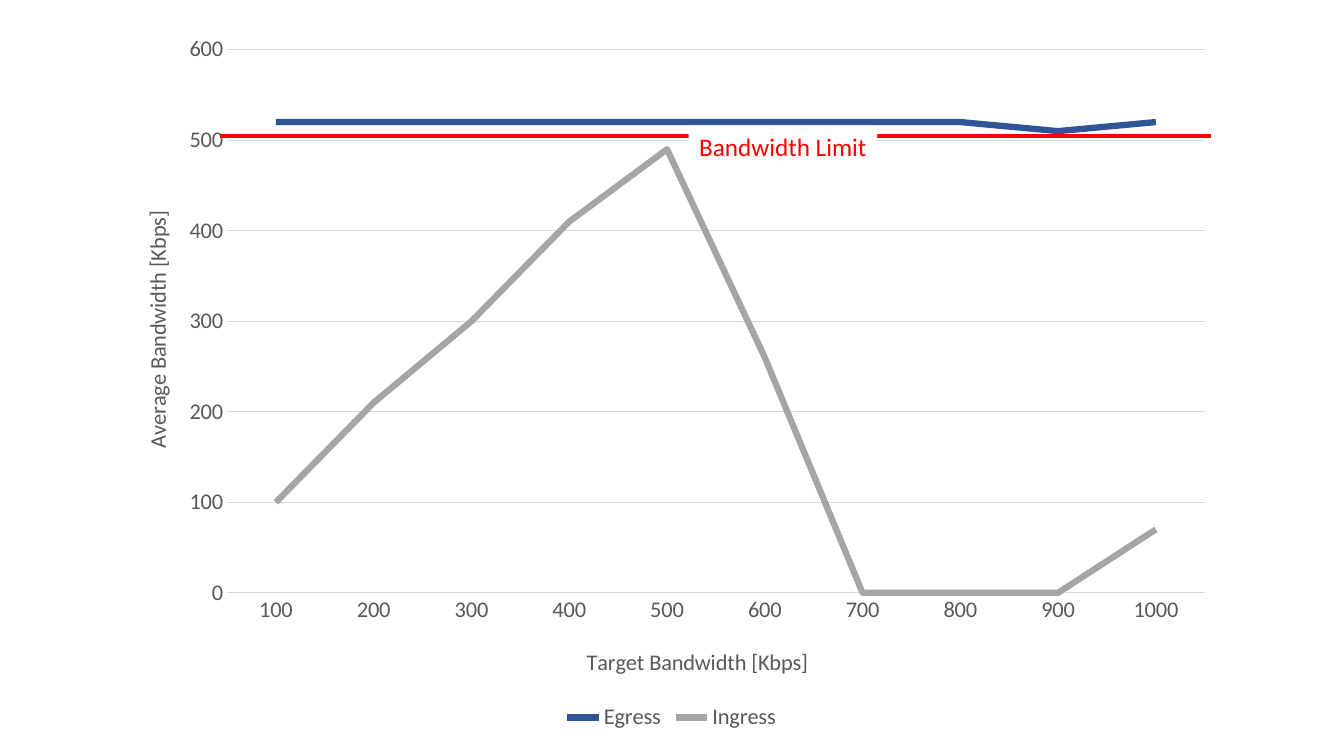
from lxml import etree
from pptx import Presentation
from pptx.chart.data import CategoryChartData
from pptx.dml.color import RGBColor
from pptx.enum import chart as ch, shapes, text
from pptx.oxml.ns import qn
from pptx.util import Inches, Pt

BLUE = RGBColor(0x2F, 0x55, 0x97)
GRAY = RGBColor(0xA5, 0xA5, 0xA5)
GRID = RGBColor(0xD9, 0xD9, 0xD9)
LABEL = RGBColor(0x59, 0x59, 0x59)
RED = RGBColor(0xFF, 0, 0)
WHITE = RGBColor(0xFF, 0xFF, 0xFF)
FONT = "Calibri"

TARGETS = [str(kbps) for kbps in range(100, 1001, 100)]
SERIES = [
    ("Egress", BLUE, [520] * 8 + [510, 520]),
    ("Ingress", GRAY, [100, 210, 300, 410, 490, 260, 0, 0, 0, 70]),
]


def set_font(font, size, color):
    font.name = FONT
    font.size = Pt(size)
    font.bold = False
    font.color.rgb = color


def set_line(line, color, width):
    line.color.rgb = color
    line.width = Pt(width)


def set_layout(element, index, **fractions):
    """Place a chart part at fractions of the chart area."""
    for old in element.findall(qn("c:layout")):
        element.remove(old)
    layout = etree.Element(qn("c:layout"))
    manual = etree.SubElement(layout, qn("c:manualLayout"))
    if "w" in fractions:
        etree.SubElement(manual, qn("c:layoutTarget"), val="inner")
    for side in ("xMode", "yMode"):
        etree.SubElement(manual, qn("c:" + side), val="edge")
    for key, value in fractions.items():
        etree.SubElement(manual, qn("c:" + key), val=str(value))
    element.insert(index, layout)


def style_axis(axis, title, x, y):
    axis.major_tick_mark = axis.minor_tick_mark = ch.XL_TICK_MARK.NONE
    set_font(axis.tick_labels.font, 16, LABEL)
    tf = axis.axis_title.text_frame
    tf.text = title
    set_font(tf.paragraphs[0].runs[0].font, 16, LABEL)
    set_layout(axis.axis_title._element, 1, x=x, y=y)


def add_bandwidth_chart(slide, left, top, width, height):
    data = CategoryChartData(number_format="General")
    data.categories = TARGETS
    for name, _, values in SERIES:
        data.add_series(name, values)
    chart = slide.shapes.add_chart(
        ch.XL_CHART_TYPE.LINE, Inches(left), Inches(top),
        Inches(width), Inches(height), data).chart
    set_font(chart.font, 16, LABEL)
    chart.has_title = False
    chart.has_legend = True
    chart.legend.position = ch.XL_LEGEND_POSITION.BOTTOM
    chart.legend.include_in_layout = False
    set_font(chart.legend.font, 16, LABEL)

    chart.plots[0].vary_by_categories = False
    for series, (_, color, _) in zip(chart.plots[0].series, SERIES):
        series.smooth = False
        series.marker.style = ch.XL_MARKER_STYLE.NONE
        set_line(series.format.line, color, 4.5)

    style_axis(chart.category_axis, "Target Bandwidth [Kbps]", 0.42, 0.87)
    set_line(chart.category_axis.format.line, GRID, 0.75)
    values = chart.value_axis
    style_axis(values, "Average Bandwidth [Kbps]", 0.02, 0.26)
    values.minimum_scale, values.maximum_scale, values.major_unit = 0, 600, 100
    values.format.line.fill.background()
    set_line(values.major_gridlines.format.line, GRID, 0.75)
    plot_area = chart.plots[0]._element.getparent()
    set_layout(plot_area, 0, x=0.1, y=0.04, w=0.88, h=0.76)


def add_limit(slide, left, top, width):
    """Draw the red limit line with its label."""
    y = Inches(top)
    line = slide.shapes.add_connector(
        shapes.MSO_CONNECTOR.STRAIGHT, Inches(left), y, Inches(left + width), y)
    set_line(line.line, RED, 3)
    etree.SubElement(line._element.spPr, qn("a:effectLst"))

    sp = slide.shapes.add_shape(
        shapes.MSO_SHAPE.RECTANGLE, Inches(left + 4.65), Inches(top - 0.1),
        Inches(1.87), Inches(0.4))
    sp.shadow.inherit = False
    sp.fill.solid()
    sp.fill.fore_color.rgb = WHITE
    sp.line.fill.background()
    tf = sp.text_frame
    tf.text = "Bandwidth Limit"
    tf.word_wrap = True
    tf.auto_size = text.MSO_AUTO_SIZE.SHAPE_TO_FIT_TEXT
    tf.vertical_anchor = text.MSO_ANCHOR.TOP
    p = tf.paragraphs[0]
    p.alignment = text.PP_ALIGN.CENTER
    set_font(p.runs[0].font, 18, RED)


def main():
    prs = Presentation()
    prs.slide_width = Inches(13.33)
    prs.slide_height = Inches(7.5)
    slide = prs.slides.add_slide(prs.slide_layouts[6])
    add_bandwidth_chart(slide, 1.15, 0.21, 11.02, 7.09)
    add_limit(slide, 2.18, 1.35, 9.83)
    prs.save("out.pptx")


if __name__ == "__main__":
    main()
